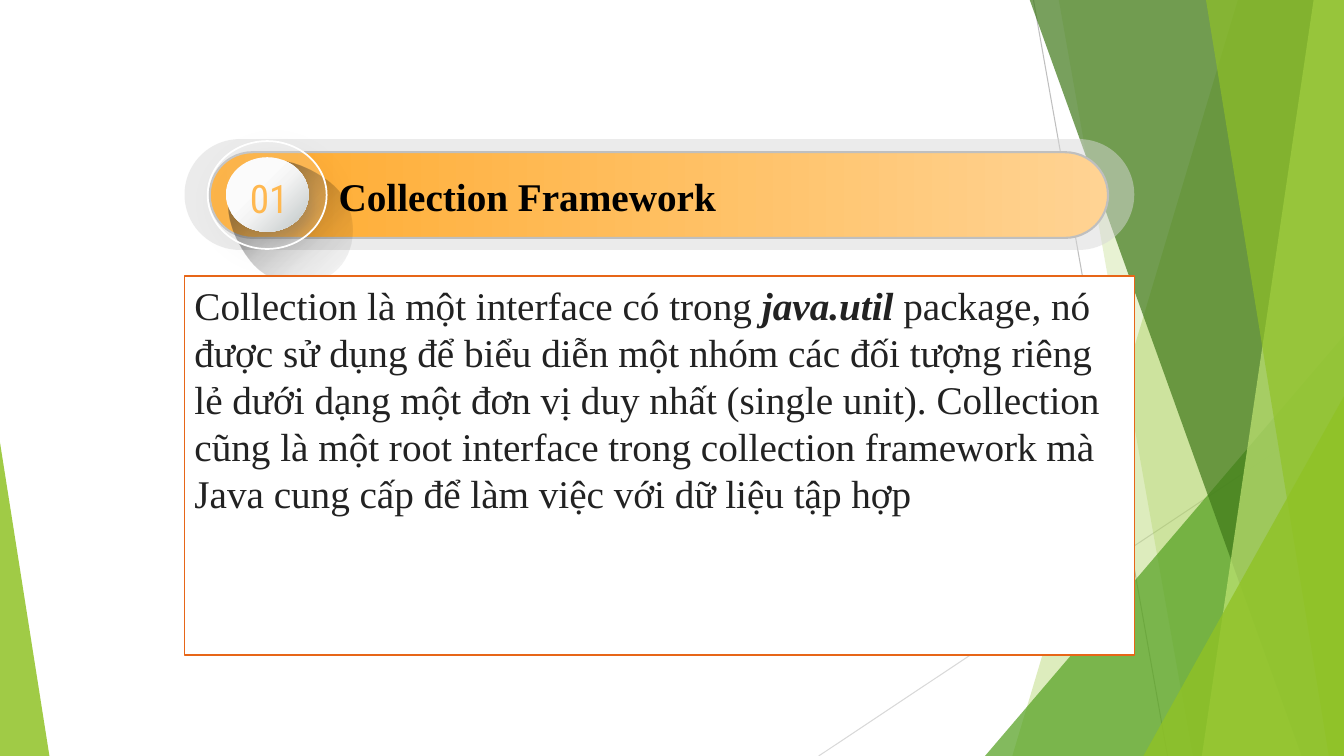
from lxml import etree
from pptx import Presentation
from pptx.dml.color import RGBColor
from pptx.enum import shapes as kinds, text as tx
from pptx.oxml import ns
from pptx.util import Inches, Pt

HUES = {
    "white": "FFFFFF", "black": "000000", "ink": "222222", "rust": "E76618",
    "lime": "90C226", "leaf": "54A021", "moss": "3F7819", "pale": "C0E474",
    "gray": "BFBFBF", "mist": "D9D9D9", "halo": "D8D8D8", "smoke": "494949",
    "amber": "FFAA2D", "peach": "FFD393", "gold": "FFB850",
    "snow": "F7F7F7", "steel": "B8C0C0",
}
SERIF = "Times New Roman"
AUTO = kinds.MSO_SHAPE

prs = Presentation()
prs.slide_width, prs.slide_height = Inches(13.33), Inches(7.5)
slide = prs.slides.add_slide(prs.slide_layouts[6])
items = slide.shapes


def style(shape, fill, line=None, width=1, angle=0, shade=None):
    """Fill is (hue, opacity) or a list of gradient stops (place, hue, opacity);
    shade is (hue, opacity, blur, distance), cast at 45 degrees."""
    def paint(parent, hue, clear):
        tone = etree.SubElement(parent, ns.qn("a:srgbClr"), val=HUES[hue])
        etree.SubElement(tone, ns.qn("a:alpha"), val=str(clear * 1000))

    shape.shadow.inherit = False
    shape.fill.solid()
    props = shape.element.spPr
    solid = props.find(ns.qn("a:solidFill"))
    if isinstance(fill, list):
        grad = etree.Element(ns.qn("a:gradFill"), rotWithShape="1")
        stops = etree.SubElement(grad, ns.qn("a:gsLst"))
        for place, hue, clear in fill:
            stop = etree.SubElement(stops, ns.qn("a:gs"), pos=str(place * 1000))
            paint(stop, hue, clear)
        etree.SubElement(grad, ns.qn("a:lin"), ang=str(angle * 60000), scaled="0")
        props.replace(solid, grad)
    else:
        for child in list(solid):
            solid.remove(child)
        paint(solid, *fill)
    if line:
        shape.line.color.rgb = RGBColor.from_string(HUES[line])
        shape.line.width = Pt(width)
    else:
        shape.line.fill.background()
    if shade:
        hue, clear, blur, gap = shade
        cast = etree.SubElement(
            props.find(ns.qn("a:effectLst")), ns.qn("a:outerShdw"),
            blurRad=str(Pt(blur)), dist=str(Pt(gap)), dir=str(45 * 60000),
            algn="tl", rotWithShape="0")
        paint(cast, hue, clear)


def write(shape, *runs, font=SERIF, hue="black", size=28):
    """Each run is (text, bold, italic)."""
    frame = shape.text_frame
    frame.word_wrap = True
    frame.vertical_anchor = tx.MSO_ANCHOR.TOP
    para = frame.paragraphs[0]
    para.alignment = tx.PP_ALIGN.LEFT
    for words, bold, italic in runs:
        run = para.add_run()
        run.text = words
        run.font.name, run.font.size = font, Pt(size)
        run.font.bold, run.font.italic = bold, italic
        run.font.color.rgb = RGBColor.from_string(HUES[hue])


# Thin lines behind the green bands
for x1, y1, x2, y2, hue in [(10.25, 0, 11.58, 7.5, "gray"),
                            (13.33, 4.03, 8.12, 7.5, "mist")]:
    wire = items.add_connector(kinds.MSO_CONNECTOR.STRAIGHT, Inches(x1),
                               Inches(y1), Inches(x2), Inches(y2))
    wire.line.color.rgb = RGBColor.from_string(HUES[hue])
    wire.line.width = Pt(0.75)
    etree.SubElement(wire.element.spPr, ns.qn("a:effectLst"))

# Bands run from a top x and a bottom x to the right edge;
# wedges are triangles given by left, top, width, peak
for kind, place, hue, clear in [
    ("band", (12.28, 10.04), "lime", 30),
    ("band", (10.5, 11.83), "lime", 20),
    ("wedge", (9.77, 3.33, 3.56, 1), "leaf", 72),
    ("band", (10.21, 12.91), "moss", 70),
    ("band", (13.03, 11.92), "pale", 70),
    ("band", (11.96, 13.18), "lime", 65),
    ("wedge", (11.34, 3.93, 1.99, 1), "lime", 80),
    ("wedge", (0, 4.39, 0.49, 0), "lime", 85),
]:
    if kind == "band":
        top, low = place
        pen = items.build_freeform(Inches(top), Inches(-0.01))
        pen.add_line_segments([(Inches(x), Inches(y)) for x, y in
                               [(13.33, -0.01), (13.33, 7.5), (low, 7.5)]])
        part = pen.convert_to_shape()
    else:
        left, top, wide, peak = place
        part = items.add_shape(AUTO.ISOSCELES_TRIANGLE, Inches(left), Inches(top),
                               Inches(wide), Inches(7.5 - top))
        part.adjustments[0] = peak
    style(part, (hue, clear))

# Title bar
for box, look in [
    ((1.83, 1.38, 9.42, 1.1), dict(fill=("halo", 50))),
    ((2.08, 1.51, 8.91, 0.85),
     dict(fill=[(0, "amber", 100), (100, "peach", 100)], line="gray", width=1.5)),
]:
    bar = items.add_shape(AUTO.ROUNDED_RECTANGLE, *map(Inches, box))
    bar.adjustments[0] = 0.5
    style(bar, **look)

# Egg-shaped shadow: four Bezier arcs around a centre, then turned
egg = [(-0.55, 0), (-0.5, -0.37), (-0.3, -0.67), (0, -0.67), (0.3, -0.67),
       (0.5, -0.37), (0.55, 0), (0.6, 0.36), (0.3, 0.67), (0, 0.67),
       (-0.3, 0.67), (-0.6, 0.36), (-0.55, 0)]
dots = []
for i in range(0, 12, 3):
    for step in range(16):
        t = step / 16
        mix = [(1 - t) ** 3, 3 * t * (1 - t) ** 2, 3 * t * t * (1 - t), t ** 3]
        x, y = (sum(m * p[axis] for m, p in zip(mix, egg[i:i + 4]))
                for axis in (0, 1))
        dots.append((Inches(2.87 + x), Inches(2.19 + y)))
pen = items.build_freeform(*dots[0])
pen.add_line_segments(dots[1:])
drop = pen.convert_to_shape()
drop.rotation = 315
style(drop, [(place, "black", clear) for place, clear in
             [(0, 100), (17, 46), (34, 43), (51, 20), (65, 10), (78, 5), (100, 0)]],
      angle=90)

# Number badge
for box, look in [
    ((2.34, 1.67, 0.69, 0.62),
     dict(fill=[(0, "white", 100), (43, "snow", 100), (100, "steel", 100)],
          angle=45, shade=("smoke", 30, 11, 7))),
    ((2.24, 1.56, 0.82, 0.74),
     dict(fill=[(0, "white", 100), (39, "white", 100), (53, "snow", 100),
                (100, "steel", 100)], angle=45)),
    ((2.06, 1.4, 1.18, 1.07),
     dict(fill=("white", 14), line="white", width=1.25,
          shade=("black", 11, 17, 7))),
]:
    style(items.add_shape(AUTO.OVAL, *map(Inches, box)), **look)

num = items.add_textbox(*map(Inches, (2.38, 1.68, 0.68, 0.57)))
write(num, ("01", False, False), font="Roboto Condensed", hue="gold")
head = items.add_textbox(*map(Inches, (3.26, 1.66, 7.55, 0.57)))
write(head, ("Collection Framework", True, False))

# Definition
body = items.add_shape(AUTO.RECTANGLE, *map(Inches, (1.83, 2.74, 9.42, 3.76)))
style(body, ("white", 100), line="rust")
write(body, ("Collection là một interface có trong ", False, False),
      ("java.util", True, True),
      (" package, nó được sử dụng để biểu diễn một nhóm các đối tượng riêng lẻ "
       "dưới dạng một đơn vị duy nhất (single unit). Collection cũng là một root "
       "interface trong collection framework mà Java cung cấp để làm việc với dữ "
       "liệu tập hợp", False, False), hue="ink")

prs.save("out.pptx")
